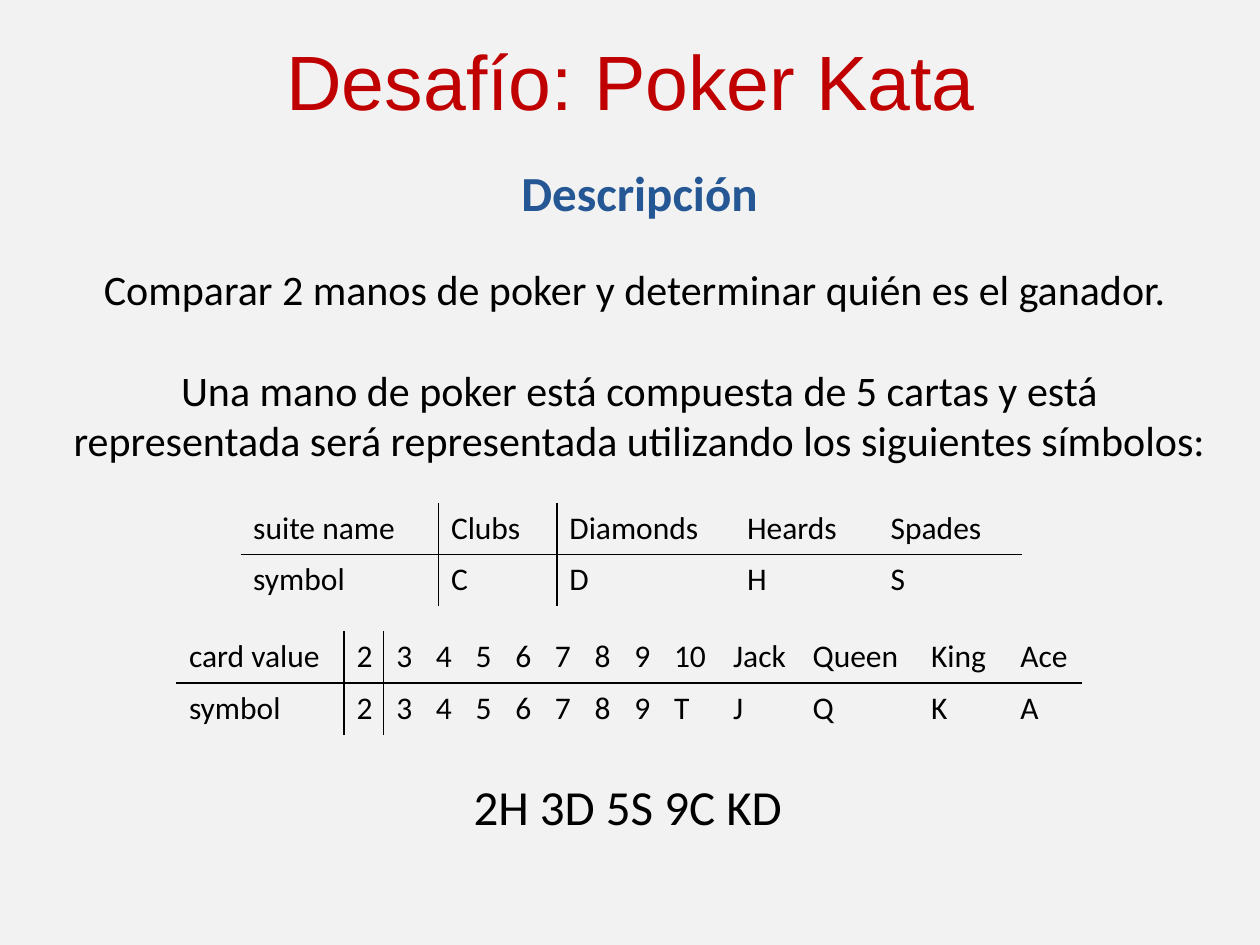
from lxml.etree import SubElement
from pptx import Presentation
from pptx.dml.color import RGBColor
from pptx.enum.text import MSO_ANCHOR, PP_ALIGN
from pptx.oxml.ns import qn
from pptx.util import Inches, Pt

BACKGROUND = RGBColor(0xF2, 0xF2, 0xF2)
RED = RGBColor(0xC0, 0x00, 0x00)
BLUE = RGBColor(0x24, 0x57, 0x94)
BLACK = RGBColor(0x00, 0x00, 0x00)

SUITS = [
    ["suite name", "Clubs", "Diamonds", "Heards", "Spades"],
    ["symbol", "C", "D", "H", "S"],
]
SUIT_WIDTHS = [1.57, 0.94, 1.41, 1.14, 1.14]

DIGITS = list("23456789")
VALUES = [
    ["card value", *DIGITS, "10", "Jack", "Queen", "King", "Ace"],
    ["symbol", *DIGITS, *"TJQKA"],
]
VALUE_WIDTHS = [1.33] + [2.52 / 8] * 8 + [0.47, 0.63, 0.94, 0.71, 0.59]


def set_font(p, size, color=BLACK, name="Calibri", bold=False):
    """Set the font of a whole paragraph."""
    p.font.name = name
    p.font.size = Pt(size)
    p.font.bold = bold
    p.font.color.rgb = color


def add_text(s, left, top, width, height, paragraphs, size,
             align=PP_ALIGN.CENTER, wrap=True, **font):
    """Add a text box and return its text frame."""
    sp = s.shapes.add_textbox(Inches(left), Inches(top), Inches(width), Inches(height))
    tf = sp.text_frame
    tf.word_wrap = wrap
    for i, text in enumerate(paragraphs):
        p = tf.add_paragraph() if i else tf.paragraphs[0]
        p.text = text
        p.alignment = align
        set_font(p, size, **font)
    return tf


def set_borders(cell, visible):
    """Draw the visible sides of a cell in black and clear the others."""
    tc_pr = cell._tc.get_or_add_tcPr()
    for i, side in enumerate("LRTB"):
        ln = SubElement(tc_pr, qn(f"a:ln{side}"), w=str(Pt(1)))
        if side in visible:
            fill = SubElement(ln, qn("a:solidFill"))
            SubElement(fill, qn("a:srgbClr"), val=str(BLACK))
        else:
            SubElement(ln, qn("a:noFill"))
        tc_pr.insert(i, ln)


def add_symbol_table(s, left, top, widths, rows):
    """Add a two-row table ruled below its header and beside two columns."""
    row_height = Inches(0.41)
    table = s.shapes.add_table(
        len(rows), len(widths), Inches(left), Inches(top),
        Inches(sum(widths)), row_height * len(rows)).table
    table.first_row = table.horz_banding = False
    for column, width in zip(table.columns, widths):
        column.width = Inches(width)
    for r, row in enumerate(rows):
        table.rows[r].height = row_height
        for c, text in enumerate(row):
            cell = table.cell(r, c)
            cell.text = text
            set_font(cell.text_frame.paragraphs[0], 18)
            cell.fill.background()
            visible = "T" if r else "B"
            if c < 2:
                visible += "R"
            if c in (1, 2):
                visible += "L"
            set_borders(cell, visible)


def main():
    """Build the slide and save it."""
    prs = Presentation()
    prs.slide_width, prs.slide_height = Inches(10), Inches(7.5)
    s = prs.slides.add_slide(prs.slide_layouts[6])
    s.background.fill.solid()
    s.background.fill.fore_color.rgb = BACKGROUND

    title = add_text(s, 0.51, 0.24, 9, 0.79, ["Desafío: Poker Kata"], 44,
                     color=RED, name="Arial")
    title.vertical_anchor = MSO_ANCHOR.MIDDLE

    add_symbol_table(s, 1.91, 3.99, SUIT_WIDTHS, SUITS)

    description = add_text(s, 0.43, 2.04, 9.29, 1.72, [
        "Comparar 2 manos de poker y determinar quién es el ganador. ",
        "Una mano de poker está compuesta de 5 cartas y está representada "
        "será representada utilizando los siguientes símbolos:",
    ], 24)
    description.paragraphs[1].space_before = Pt(29)

    heading = add_text(s, 0.43, 1.08, 9.29, 0.68, ["Descripción"], 28,
                       color=BLUE, bold=True)
    heading.paragraphs[0].line_spacing = Pt(45)

    add_symbol_table(s, 1.4, 5.01, VALUE_WIDTHS, VALUES)
    add_text(s, 3.66, 6.11, 2.68, 0.57, ["2H 3D 5S 9C KD"], 28,
             align=PP_ALIGN.LEFT, wrap=False)

    prs.save("out.pptx")


main()
